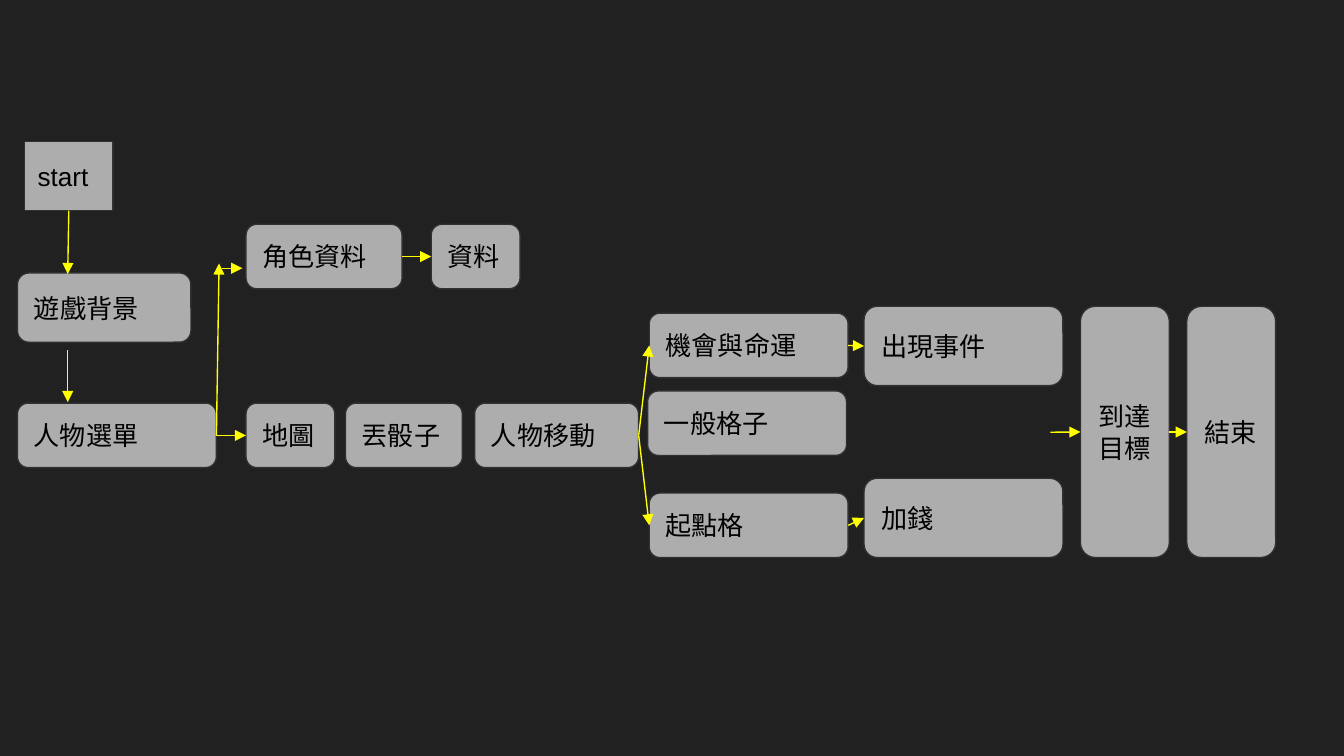
from dataclasses import dataclass

from lxml import etree
from pptx import Presentation
from pptx.dml.color import RGBColor
from pptx.enum.shapes import MSO_CONNECTOR, MSO_SHAPE
from pptx.enum.text import MSO_ANCHOR, PP_ALIGN
from pptx.oxml.ns import qn
from pptx.shapes.autoshape import Shape
from pptx.slide import Slide
from pptx.util import Cm, Pt

RECT, ROUNDED = MSO_SHAPE.RECTANGLE, MSO_SHAPE.ROUNDED_RECTANGLE
STRAIGHT = MSO_CONNECTOR.STRAIGHT
MIDDLE, LEFT_ALIGN = MSO_ANCHOR.MIDDLE, PP_ALIGN.LEFT
# Connection sites of a rectangle
LEFT, BOTTOM, RIGHT = 1, 2, 3


@dataclass(frozen=True)
class Theme:
    background: RGBColor = RGBColor(0x21, 0x21, 0x21)
    box: RGBColor = RGBColor(0xAD, 0xAD, 0xAD)
    outline: RGBColor = RGBColor(0x30, 0x30, 0x30)
    text: RGBColor = RGBColor(0, 0, 0)
    arrow: RGBColor = RGBColor(0xFF, 0xFF, 0)
    font: str = "Arial"
    text_size: float = 14
    line_width: float = 0.75
    inset: float = 0.25


@dataclass(frozen=True)
class Step:
    """A box of the flow; lengths in centimetres."""
    label: str
    left: float
    top: float
    width: float
    height: float = 1.22
    preset: MSO_SHAPE = ROUNDED


@dataclass(frozen=True)
class Point:
    x: float
    y: float


@dataclass(frozen=True)
class Site:
    label: str
    side: int


@dataclass(frozen=True)
class Arrow:
    start: Point | Site
    end: Point | Site


THEME = Theme()

# Shared measures of the flow chart
NARROW, WIDE = 1.68, 3.76
MENU_ROW, ROLE_ROW, EVENT_TOP = 7.62, 4.24, 5.79
EVENT_LEFT, EVENT_HEIGHT, GOAL_HEIGHT = 16.33, 1.5, 4.75

STEPS = [
    Step("start", 0.46, 2.67, NARROW, 1.31, RECT),
    Step("遊戲背景", 0.33, 5.16, 3.28, 1.31),
    Step("人物選單", 0.33, MENU_ROW, WIDE),
    Step("地圖", 4.65, MENU_ROW, NARROW),
    Step("丟骰子", 6.53, MENU_ROW, 2.21),
    Step("人物移動", 8.97, MENU_ROW, 3.1),
    Step("角色資料", 4.65, ROLE_ROW, 2.95),
    Step("資料", 8.15, ROLE_ROW, NARROW),
    Step("機會與命運", 12.27, 5.92, WIDE),
    Step("一般格子", 12.24, 7.39, WIDE),
    Step("起點格", 12.27, 9.32, WIDE),
    Step("出現事件", EVENT_LEFT, EVENT_TOP, WIDE, EVENT_HEIGHT),
    Step("加錢", EVENT_LEFT, EVENT_TOP + GOAL_HEIGHT - EVENT_HEIGHT, WIDE, EVENT_HEIGHT),
    Step("到達目標", 20.42, EVENT_TOP, NARROW, GOAL_HEIGHT),
    Step("結束", 22.43, EVENT_TOP, NARROW, GOAL_HEIGHT),
]

ARROWS = [
    Arrow(Site("start", BOTTOM), Point(1.28, 5.18)),
    Arrow(Point(1.28, 6.62), Point(1.28, 7.6)),
    Arrow(Site("人物選單", RIGHT), Site("地圖", LEFT)),
    Arrow(Site("人物選單", RIGHT), Point(4.14, 4.98)),
    Arrow(Point(4.19, 5.07), Point(4.58, 5.07)),
    Arrow(Site("角色資料", RIGHT), Site("資料", LEFT)),
    Arrow(Site("人物移動", RIGHT), Site("機會與命運", LEFT)),
    Arrow(Site("人物移動", RIGHT), Site("起點格", LEFT)),
    Arrow(Site("機會與命運", RIGHT), Site("出現事件", LEFT)),
    Arrow(Site("起點格", RIGHT), Site("加錢", LEFT)),
    Arrow(Point(19.85, 8.17), Site("到達目標", LEFT)),
    Arrow(Site("到達目標", RIGHT), Site("結束", LEFT)),
]


def draw_step(slide: Slide, step: Step) -> Shape:
    box = slide.shapes.add_shape(
        step.preset, Cm(step.left), Cm(step.top), Cm(step.width), Cm(step.height))
    box.shadow.inherit = False
    box.fill.solid()
    box.fill.fore_color.rgb = THEME.box
    box.line.color.rgb = THEME.outline
    box.line.width = Pt(THEME.line_width)
    frame = box.text_frame
    frame.word_wrap = True
    frame.vertical_anchor = MIDDLE
    frame.margin_left = frame.margin_right = Cm(THEME.inset)
    frame.margin_top = frame.margin_bottom = Cm(THEME.inset)
    label = frame.paragraphs[0]
    label.text = step.label
    label.alignment = LEFT_ALIGN
    label.font.name = THEME.font
    label.font.size = Pt(THEME.text_size)
    label.font.color.rgb = THEME.text
    return box


def draw_arrow(slide: Slide, arrow: Arrow, boxes: dict[str, Shape]) -> None:
    link = slide.shapes.add_connector(STRAIGHT, 0, 0, 0, 0)
    if isinstance(arrow.start, Site):
        link.begin_connect(boxes[arrow.start.label], arrow.start.side)
    else:
        link.begin_x, link.begin_y = Cm(arrow.start.x), Cm(arrow.start.y)
    if isinstance(arrow.end, Site):
        link.end_connect(boxes[arrow.end.label], arrow.end.side)
    else:
        link.end_x, link.end_y = Cm(arrow.end.x), Cm(arrow.end.y)
    link.line.color.rgb = THEME.arrow
    link.line.width = Pt(THEME.line_width)
    # Arrowhead, and no shadow
    properties = link.line._get_or_add_ln()
    etree.SubElement(properties, qn("a:tailEnd"), type="triangle")
    etree.SubElement(properties.getparent(), qn("a:effectLst"))


# Slide
deck = Presentation()
deck.slide_width, deck.slide_height = Cm(25.4), Cm(14.29)
flow = deck.slides.add_slide(deck.slide_layouts[6])
flow.background.fill.solid()
flow.background.fill.fore_color.rgb = THEME.background

# Flow chart: boxes first, then the arrows that join them
step_boxes = {step.label: draw_step(flow, step) for step in STEPS}
for flow_arrow in ARROWS:
    draw_arrow(flow, flow_arrow, step_boxes)

deck.save("out.pptx")
